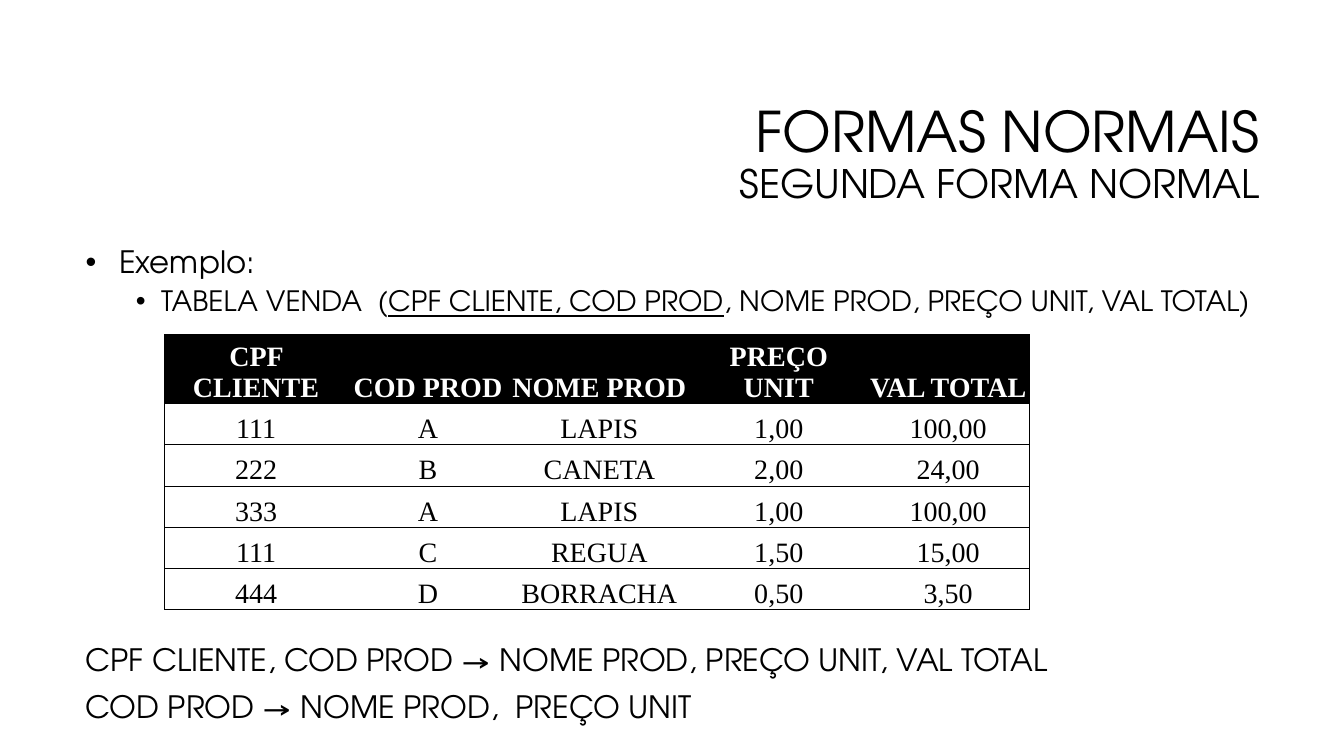
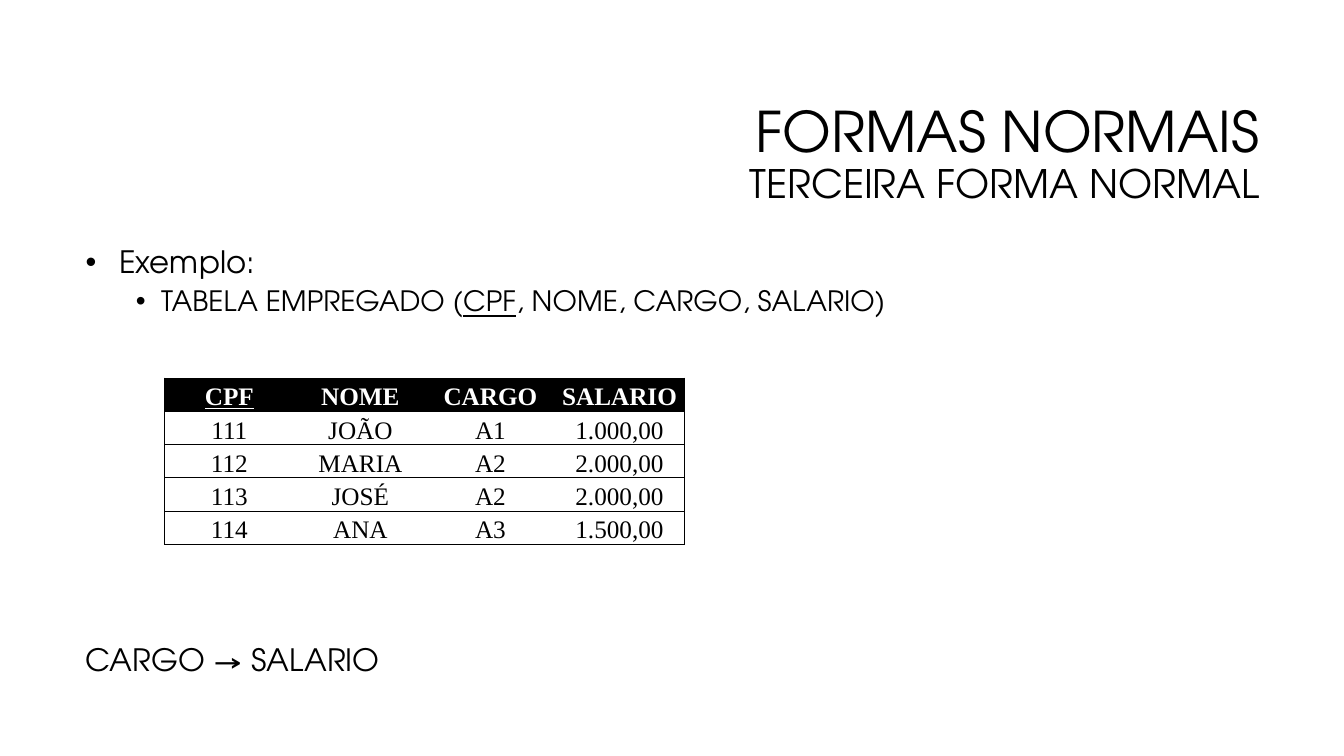
from dataclasses import dataclass

from lxml import etree
from pptx import Presentation
from pptx.dml.color import RGBColor
from pptx.enum.text import MSO_ANCHOR, MSO_AUTO_SIZE, PP_ALIGN
from pptx.oxml.ns import qn
from pptx.util import Pt

PX = 9144  # 100 px to the inch
HAIRLINE = 6350
TITLE_ONLY = 5
RIGHT, CENTER = PP_ALIGN.RIGHT, PP_ALIGN.CENTER
TOP, MIDDLE, BOTTOM = MSO_ANCHOR.TOP, MSO_ANCHOR.MIDDLE, MSO_ANCHOR.BOTTOM
NO_AUTOFIT = MSO_AUTO_SIZE.NONE


@dataclass(frozen=True)
class Theme:
    ink: RGBColor = RGBColor(0, 0, 0)
    paper: RGBColor = RGBColor(255, 255, 255)
    text_font: str = "TeX Gyre Adventor"
    table_font: str = "Times New Roman"
    title_size: int = 40
    subtitle_size: int = 28
    body_size: int = 22
    detail_size: int = 20


THEME = Theme()

TITLE_BOX = (317, 84, 942, 141)
EXAMPLE_BOX = (75, 240, 1183, 111)
DEPENDENCY_BOX = (75, 635, 1183, 111)
TABLE_LEFT = 163

SLIDES = [
    {
        "subtitle": "SEGUNDA FORMA NORMAL",
        "relation": ("TABELA VENDA  (", "CPF CLIENTE, COD PROD",
                     ", NOME PROD, PREÇO UNIT, VAL TOTAL)"),
        "dependencies": ["CPF CLIENTE, COD PROD → NOME PROD, PREÇO UNIT, VAL TOTAL",
                         "COD PROD → NOME PROD,  PREÇO UNIT"],
        "table_top": 332,
        "table_size": 20,
        "columns": [182, 159, 181, 175, 161],
        "header_height": 68,
        "row_height": 41,
        "underlined_headers": [],
        "rows": [
            ["CPF CLIENTE", "COD PROD", "NOME PROD", "PREÇO UNIT", "VAL TOTAL"],
            ["111", "A", "LAPIS", "1,00", "100,00"],
            ["222", "B", "CANETA", "2,00", "24,00"],
            ["333", "A", "LAPIS", "1,00", "100,00"],
            ["111", "C", "REGUA", "1,50", "15,00"],
            ["444", "D", "BORRACHA", "0,50", "3,50"],
        ],
    },
    {
        "subtitle": "TERCEIRA FORMA NORMAL",
        "relation": ("TABELA EMPREGADO (", "CPF", ", NOME, CARGO, SALARIO)"),
        "dependencies": ["CARGO → SALARIO"],
        "table_top": 375,
        "table_size": 18,
        "columns": [129, 131, 127, 129],
        "header_height": 33,
        "row_height": 33,
        "underlined_headers": ["CPF"],
        "rows": [
            ["CPF", "NOME", "CARGO", "SALARIO"],
            ["111", "JOÃO", "A1", "1.000,00"],
            ["112", "MARIA", "A2", "2.000,00"],
            ["113", "JOSÉ", "A2", "2.000,00"],
            ["114", "ANA", "A3", "1.500,00"],
        ],
    },
]


def style_run(run, size, font_name=THEME.text_font, color=THEME.ink):
    run.font.size = Pt(size)
    run.font.name = font_name
    run.font.color.rgb = color


def add_text(slide, box, paragraphs):
    """Add a text box; each paragraph is (runs, size, space before, bullet indent).

    The second run of a paragraph, if any, is underlined.
    """
    text_frame = slide.shapes.add_textbox(*(value * PX for value in box)).text_frame
    text_frame.word_wrap = True
    text_frame.vertical_anchor = TOP
    for index, (texts, size, space_before, indent) in enumerate(paragraphs):
        paragraph = text_frame.add_paragraph() if index else text_frame.paragraphs[0]
        paragraph.line_spacing = 0.9
        paragraph.space_before = Pt(space_before)
        for position, text in enumerate(texts):
            run = paragraph.add_run()
            run.text = text
            style_run(run, size)
            if position == 1:
                run.font.underline = True
        if indent:
            paragraph.level = index
            properties = paragraph._p.get_or_add_pPr()
            properties.set("marL", str(indent * PX))
            properties.set("indent", str(-25 * PX))
            etree.SubElement(properties, qn("a:buFont"), typeface="Arial")
            etree.SubElement(properties, qn("a:buChar"), char="•")


presentation = Presentation()
presentation.slide_width = 1333 * PX
presentation.slide_height = 750 * PX

for content in SLIDES:
    slide = presentation.slides.add_slide(presentation.slide_layouts[TITLE_ONLY])

    title = slide.shapes.title
    title.left, title.top, title.width, title.height = (value * PX for value in TITLE_BOX)
    title_frame = title.text_frame
    title_frame.text = "FORMAS NORMAIS\v" + content["subtitle"]
    title_frame.auto_size = NO_AUTOFIT
    title_frame.vertical_anchor = MIDDLE
    heading = title_frame.paragraphs[0]
    heading.alignment = RIGHT
    heading.line_spacing = 0.9
    for run, size in zip(heading.runs, (THEME.title_size, THEME.subtitle_size)):
        style_run(run, size)
    line_break = heading._p.find(qn("a:br"))
    etree.SubElement(line_break, qn("a:rPr"), sz=str(THEME.title_size * 100))

    add_text(slide, EXAMPLE_BOX, [
        ([" Exemplo:"], THEME.body_size, 10, 25),
        (content["relation"], THEME.detail_size, 5, 75),
    ])
    add_text(slide, DEPENDENCY_BOX, [
        ([dependency], THEME.body_size, 10, 0) for dependency in content["dependencies"]
    ])

    rows, columns = content["rows"], content["columns"]
    heights = [content["header_height"]] + [content["row_height"]] * (len(rows) - 1)
    table = slide.shapes.add_table(
        len(rows), len(columns), TABLE_LEFT * PX, content["table_top"] * PX,
        sum(columns) * PX, sum(heights) * PX).table
    table.first_row = False
    table.horz_banding = False
    for column, width in zip(table.columns, columns):
        column.width = width * PX
    for row, height in zip(table.rows, heights):
        row.height = height * PX

    for row_index, row in enumerate(rows):
        is_header = row_index == 0
        for column_index, text in enumerate(row):
            cell = table.cell(row_index, column_index)
            cell.margin_left = cell.margin_right = cell.margin_top = PX
            cell.margin_bottom = 0
            cell.vertical_anchor = BOTTOM
            cell.text_frame.text = text
            paragraph = cell.text_frame.paragraphs[0]
            paragraph.alignment = CENTER
            run = paragraph.runs[0]
            style_run(run, content["table_size"], THEME.table_font,
                      THEME.paper if is_header else THEME.ink)
            run.font.bold = is_header
            run.font.underline = is_header and text in content["underlined_headers"]

            visible_sides = {
                "L": column_index == 0,
                "R": column_index == len(columns) - 1,
                "T": True,
                "B": True,
            }
            cell_properties = cell._tc.get_or_add_tcPr()
            for side, visible in visible_sides.items():
                border = etree.SubElement(cell_properties, qn(f"a:ln{side}"), w=str(HAIRLINE))
                if visible:
                    fill = etree.SubElement(border, qn("a:solidFill"))
                    etree.SubElement(fill, qn("a:srgbClr"), val=str(THEME.ink))
                else:
                    etree.SubElement(border, qn("a:noFill"))
            if is_header:
                cell.fill.solid()
                cell.fill.fore_color.rgb = THEME.ink
            else:
                cell.fill.background()

presentation.save("out.pptx")
